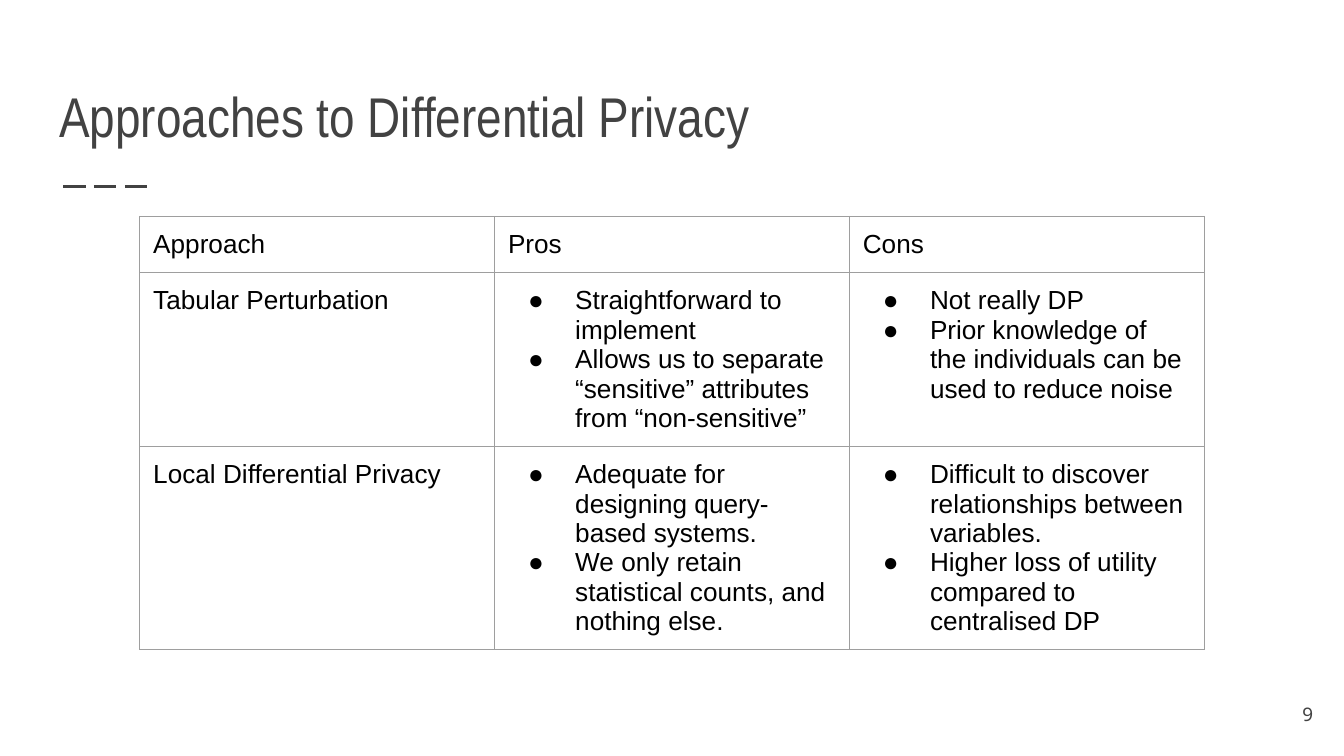
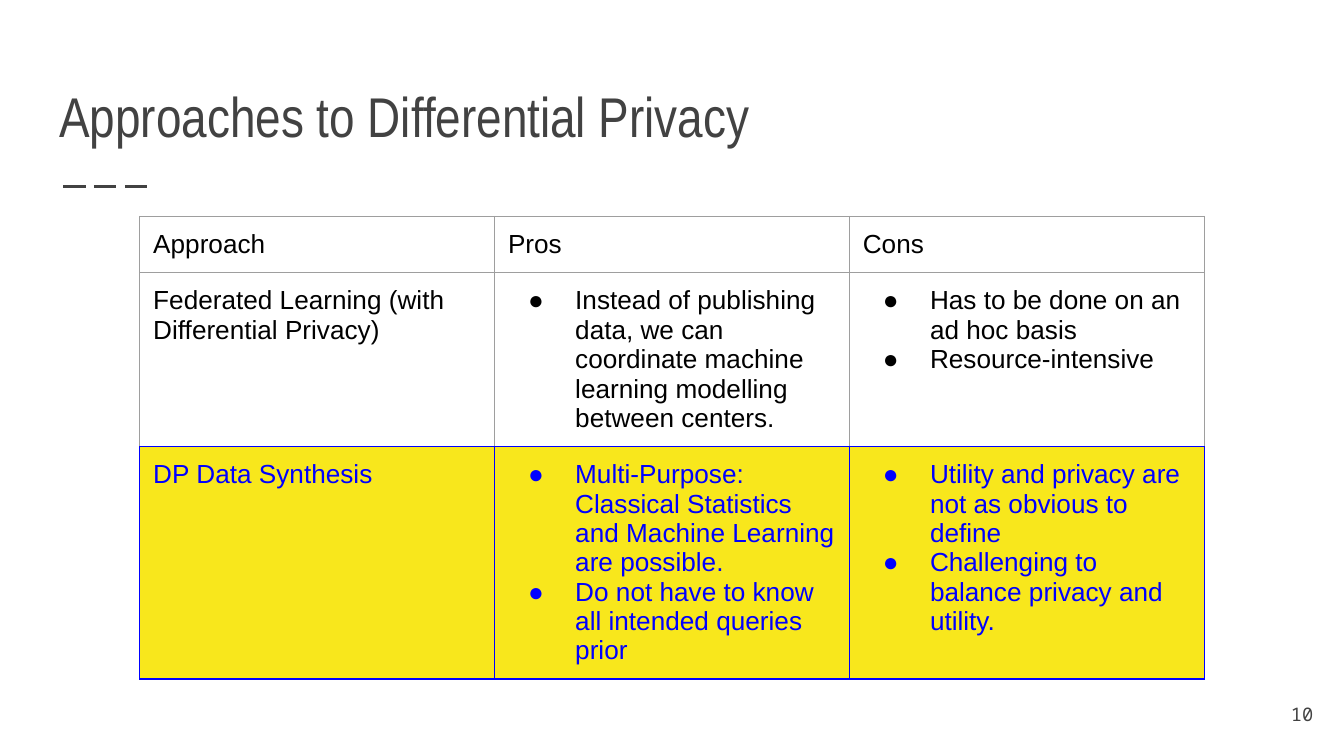
from lxml.etree import SubElement
from pptx import Presentation
from pptx.dml.color import RGBColor
from pptx.enum.dml import MSO_LINE_DASH_STYLE as Dash
from pptx.enum.shapes import MSO_CONNECTOR as Connector
from pptx.enum.text import MSO_ANCHOR as Anchor, MSO_AUTO_SIZE as AutoSize, PP_ALIGN as Align
from pptx.oxml.ns import qn
from pptx.util import Inches, Pt

TITLE = "Approaches to Differential Privacy"
HEADER = ("Approach", "Pros", "Cons")

# Each row: approach, list of pros, list of cons.
SLIDES = [
    {
        "number": 9,
        "highlight": None,
        "rows": [
            ("Tabular Perturbation",
             ["Straightforward to implement",
              "Allows us to separate “sensitive” attributes from “non-sensitive”"],
             ["Not really DP",
              "Prior knowledge of the individuals can be used to reduce noise"]),
            ("Local Differential Privacy",
             ["Adequate for designing query-based systems.",
              "We only retain statistical counts, and nothing else."],
             ["Difficult to discover relationships between variables.",
              "Higher loss of utility compared to centralised DP"]),
        ],
    },
    {
        "number": 10,
        "highlight": 2,
        "rows": [
            ("Federated Learning (with Differential Privacy)",
             ["Instead of publishing data, we can coordinate machine learning "
              "modelling between centers."],
             ["Has to be done on an ad hoc basis",
              "Resource-intensive"]),
            ("DP Data Synthesis",
             ["Multi-Purpose: Classical Statistics and Machine Learning are possible.",
              "Do not have to know all intended queries prior"],
             ["Utility and privacy are not as obvious to define",
              "Challenging to balance privacy and utility."]),
        ],
    },
]

DARK, BLACK, GREY = "424242", "000000", "9E9E9E"
BLUE, YELLOW, WHITE = "0000FF", "F8E71C", "FFFFFF"
SLIDE_WIDTH = Inches(10)
SLIDE_HEIGHT = SLIDE_WIDTH * 9 // 16
MARGIN = Inches(0.1)
COLUMN_WIDTH, ROW_HEIGHT = Inches(2.64), Inches(0.42)


def rgb(color):
    return RGBColor.from_string(color)


def format_runs(paragraph, font_name, size, color):
    for run in paragraph.runs:
        run.font.name = font_name
        run.font.size = Pt(size)
        run.font.color.rgb = rgb(color)


def set_margins(target):
    """Give a text frame or a table cell the shared inner margins."""
    target.margin_left = target.margin_right = MARGIN
    target.margin_top = target.margin_bottom = MARGIN


def add_bullet(paragraph, color):
    properties = paragraph._p.get_or_add_pPr()
    properties.set("marL", str(Inches(0.5)))
    properties.set("indent", str(-Inches(0.35)))
    bullet_color = SubElement(properties, qn("a:buClr"))
    SubElement(bullet_color, qn("a:srgbClr"), val=color)
    SubElement(properties, qn("a:buFont"), typeface="Arial")
    SubElement(properties, qn("a:buChar"), char="●")


def set_borders(cell, color, bottom_color):
    properties = cell._tc.get_or_add_tcPr()
    for side in "LRTB":
        line = SubElement(properties, qn(f"a:ln{side}"), w=str(Pt(0.75)))
        fill = SubElement(line, qn("a:solidFill"))
        SubElement(fill, qn("a:srgbClr"), val=bottom_color if side == "B" else color)


def fill_cell(cell, content, highlighted, above_highlight):
    """Write a string as plain text, or a list as bullets, and style the cell."""
    text_color = BLUE if highlighted else BLACK
    border = BLUE if highlighted else GREY
    set_borders(cell, border, BLUE if above_highlight else border)
    cell.fill.solid()
    cell.fill.fore_color.rgb = rgb(YELLOW if highlighted else WHITE)
    set_margins(cell)
    bulleted = isinstance(content, list)
    cell.text_frame.text = "\n".join(content) if bulleted else content
    for paragraph in cell.text_frame.paragraphs:
        if bulleted:
            add_bullet(paragraph, text_color)
        format_runs(paragraph, "Arial", 14, text_color)


def add_comparison(slide, rows, highlight):
    table_rows = [HEADER, *rows]
    table = slide.shapes.add_table(
        len(table_rows), len(HEADER), Inches(1.04), Inches(1.61),
        COLUMN_WIDTH * len(HEADER), ROW_HEIGHT * len(table_rows)).table
    table.first_row = table.horz_banding = False
    for row_index, row in enumerate(table_rows):
        for column_index, content in enumerate(row):
            fill_cell(table.cell(row_index, column_index), content,
                      row_index == highlight, row_index + 1 == highlight)


def format_title(slide):
    title = slide.shapes.title
    title.left, title.top = Inches(0.34), Inches(0.41)
    title.width, title.height = Inches(9.32), Inches(0.8)
    frame = title.text_frame
    frame.text = TITLE
    frame.auto_size = AutoSize.NONE
    frame.vertical_anchor = Anchor.BOTTOM
    set_margins(frame)
    frame.paragraphs[0].alignment = Align.LEFT
    format_runs(frame.paragraphs[0], "Arial Narrow", 30, DARK)


def add_title_dashes(slide):
    dashes = slide.shapes.add_connector(
        Connector.STRAIGHT, Inches(0.47), Inches(1.39), Inches(1.14), Inches(1.39))
    dashes.line.color.rgb = rgb(DARK)
    dashes.line.width = Pt(1.5)
    dashes.line.dash_style = Dash.LONG_DASH
    SubElement(dashes._element.spPr, qn("a:effectLst"))


def add_page_number(slide, number):
    box = slide.shapes.add_textbox(Inches(9.27), Inches(5.1), Inches(0.6), Inches(0.43))
    frame = box.text_frame
    frame.word_wrap = True
    frame.vertical_anchor = Anchor.MIDDLE
    set_margins(frame)
    frame.text = str(number)
    frame.paragraphs[0].alignment = Align.RIGHT
    format_runs(frame.paragraphs[0], "Noto Sans Mono", 10, DARK)


def main():
    presentation = Presentation()
    presentation.slide_width, presentation.slide_height = SLIDE_WIDTH, SLIDE_HEIGHT
    title_only = presentation.slide_layouts[5]
    for content in SLIDES:
        slide = presentation.slides.add_slide(title_only)
        add_title_dashes(slide)
        format_title(slide)
        add_comparison(slide, content["rows"], content["highlight"])
        add_page_number(slide, content["number"])
    presentation.save("out.pptx")


if __name__ == "__main__":
    main()
